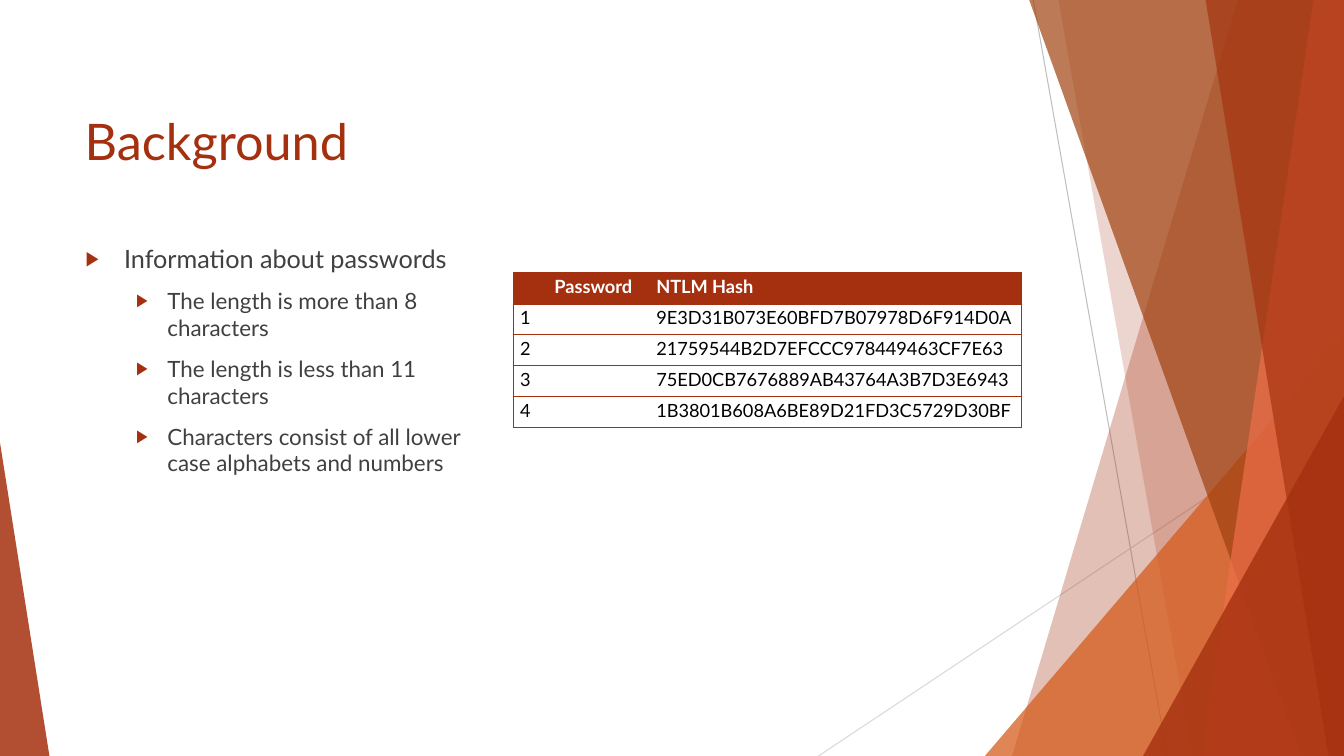
"""Build the password background slide with its facet decoration, list and hash table."""
from dataclasses import dataclass
from typing import Any

from lxml import etree
from pptx import Presentation
from pptx.dml.color import RGBColor
from pptx.enum.shapes import MSO_CONNECTOR, MSO_SHAPE
from pptx.enum.text import MSO_ANCHOR, MSO_AUTO_SIZE, PP_ALIGN
from pptx.oxml.ns import qn
from pptx.util import Inches, Pt

WIDTH, HEIGHT = Inches(13.33), Inches(7.5)
STRAIGHT = MSO_CONNECTOR.STRAIGHT
TRIANGLE = MSO_SHAPE.ISOSCELES_TRIANGLE
LEFT, TOP, MIDDLE = PP_ALIGN.LEFT, MSO_ANCHOR.TOP, MSO_ANCHOR.MIDDLE
NO_AUTOFIT = MSO_AUTO_SIZE.NONE


@dataclass(frozen=True)
class Theme:
    """Colours, font and type sizes of the slide."""
    font: str = "Lato"
    accent: str = "A5300F"
    orange: str = "D55816"
    brown: str = "A04210"
    coral: str = "EE6E4A"
    body: str = "404040"
    black: str = "000000"
    white: str = "FFFFFF"
    title_size: float = 36
    list_sizes: tuple[float, float] = (18, 16)
    table_size: float = 13


THEME = Theme()


@dataclass(frozen=True)
class Box:
    """A rectangle in percent of the slide's width and height."""
    left: float
    top: float
    width: float
    height: float

    def lengths(self) -> dict[str, int]:
        """Return the position and size as slide lengths."""
        return {"left": across(self.left), "top": down(self.top),
                "width": across(self.width), "height": down(self.height)}


@dataclass(frozen=True)
class Ray:
    """A thin line between two points in percent."""
    start: tuple[float, float]
    end: tuple[float, float]
    colour: str


@dataclass(frozen=True)
class Band:
    """A full-height band from a slanted left edge to the slide's right edge."""
    top_left: float
    bottom_left: float
    colour: str
    opacity: int


@dataclass(frozen=True)
class Wedge:
    """A right triangle with its apex at the left (0) or right (1)."""
    box: Box
    apex: float
    colour: str
    opacity: int


@dataclass(frozen=True)
class Bullet:
    """One list entry and its level."""
    text: str
    level: int = 1


RAYS = [Ray((76.88, 0), (86.85, 100), "BFBFBF"),
        Ray((100, 53.73), (60.9, 100), "D9D9D9")]
FACETS = [
    Band(92.1, 75.3, THEME.accent, 30),
    Band(78.75, 88.73, THEME.accent, 20),
    Wedge(Box(73.28, 44.4, 26.72, 55.6), 1, THEME.orange, 72),
    Band(76.58, 96.83, THEME.brown, 70),
    Band(97.73, 89.4, THEME.coral, 70),
    Band(89.7, 98.85, THEME.accent, 65),
    Wedge(Box(85.05, 52.4, 14.95, 47.6), 1, THEME.accent, 80),
    Wedge(Box(0, 58.53, 3.68, 41.47), 0, THEME.accent, 85),
]
TITLE_BOX = Box(5.55, 8.93, 30.6, 19.2)
LIST_BOX = Box(5.63, 31.47, 30.53, 51.87)
TABLE_BOX = Box(38.18, 36.1, 37.8, 20.5)
COLUMN_WIDTHS = (2.55, 7.58, 27.67)
LIST_INDENTS = ((2.85, -2.85), (6.08, -2.33))
BULLETS = [
    Bullet("Information about passwords", 0),
    Bullet("The length is more than 8 characters"),
    Bullet("The length is less than 11 characters"),
    Bullet("Characters consist of all lower case alphabets and numbers"),
]
HASHES = ["9E3D31B073E60BFD7B07978D6F914D0A", "21759544B2D7EFCCC978449463CF7E63",
          "75ED0CB7676889AB43764A3B7D3E6943", "1B3801B608A6BE89D21FD3C5729D30BF"]
TABLE_ROWS = [("", "Password", "NTLM Hash"),
              *((str(number), "", code) for number, code in enumerate(HASHES, 1))]


def across(share: float) -> int:
    """Turn a percentage of the slide's width into a length."""
    return round(WIDTH * share / 100)


def down(share: float) -> int:
    """Turn a percentage of the slide's height into a length."""
    return round(HEIGHT * share / 100)


def assign(target: Any, values: dict[str, Any]) -> None:
    """Set every named attribute on the target."""
    for name, value in values.items():
        setattr(target, name, value)


def add_element(parent: Any, tag: str, **attributes: str) -> Any:
    """Append a drawing element with its attributes."""
    return etree.SubElement(parent, qn(tag), attributes)


def write(paragraph: Any, text: str, size: float, colour: str, bold: bool = False) -> None:
    """Add one formatted run to a paragraph."""
    run = paragraph.add_run()
    run.text = text
    assign(run.font, {"name": THEME.font, "size": Pt(size), "bold": bold})
    run.font.color.rgb = RGBColor.from_string(colour)


def draw_ray(slide: Any, ray: Ray) -> None:
    """Draw a thin line without shadow."""
    (start_x, start_y), (end_x, end_y) = ray.start, ray.end
    connector = slide.shapes.add_connector(
        STRAIGHT, across(start_x), down(start_y), across(end_x), down(end_y))
    connector.line.width = Pt(0.75)
    connector.line.color.rgb = RGBColor.from_string(ray.colour)
    add_element(connector.element.spPr, "a:effectLst")


def draw_facet(slide: Any, facet: Band | Wedge) -> None:
    """Draw a translucent band or wedge."""
    if isinstance(facet, Band):
        builder = slide.shapes.build_freeform(across(facet.top_left), 0)
        builder.add_line_segments(
            [(WIDTH, 0), (WIDTH, HEIGHT), (across(facet.bottom_left), HEIGHT)], close=True)
        shape = builder.convert_to_shape()
    else:
        shape = slide.shapes.add_shape(TRIANGLE, **facet.box.lengths())
        shape.adjustments[0] = facet.apex
    shape.shadow.inherit = False
    shape.line.fill.background()
    shape.fill.solid()
    shape.fill.fore_color.rgb = RGBColor.from_string(facet.colour)
    colour = shape.element.spPr.find(qn("a:solidFill"))[0]
    add_element(colour, "a:alpha", val=str(facet.opacity * 1000))


def fill_title(title: Any) -> None:
    """Place and write the title."""
    assign(title, TITLE_BOX.lengths())
    assign(title.text_frame, {"vertical_anchor": MIDDLE, "auto_size": NO_AUTOFIT})
    paragraph = title.text_frame.paragraphs[0]
    paragraph.alignment = LEFT
    write(paragraph, "Background", THEME.title_size, THEME.accent)


def fill_list(body: Any) -> None:
    """Place the body and write its bulleted list."""
    assign(body, LIST_BOX.lengths())
    frame = body.text_frame
    assign(frame, {"vertical_anchor": TOP, "auto_size": NO_AUTOFIT, "word_wrap": True})
    for index, bullet in enumerate(BULLETS):
        paragraph = frame.add_paragraph() if index else frame.paragraphs[0]
        assign(paragraph, {"level": bullet.level, "space_before": Pt(10), "alignment": LEFT})
        write(paragraph, bullet.text, THEME.list_sizes[bullet.level], THEME.body)
        properties = paragraph._p.get_or_add_pPr()
        for name, share in zip(("marL", "indent"), LIST_INDENTS[bullet.level]):
            properties.set(name, str(across(share)))
        add_element(add_element(properties, "a:buClr"), "a:srgbClr", val=THEME.accent)
        add_element(properties, "a:buSzPct", val="80000")
        add_element(properties, "a:buChar", char="▶")


def draw_borders(cell: Any, is_first: bool, is_last: bool) -> None:
    """Rule a cell above and below, and on the table's outer sides."""
    properties = cell._tc.get_or_add_tcPr()
    for side, visible in {"L": is_first, "R": is_last, "T": True, "B": True}.items():
        line = add_element(properties, f"a:ln{side}", w=str(Pt(1)))
        if visible:
            add_element(add_element(line, "a:solidFill"), "a:srgbClr", val=THEME.accent)
        else:
            add_element(line, "a:noFill")


def draw_table(slide: Any) -> None:
    """Draw the table of password hashes."""
    table = slide.shapes.add_table(
        len(TABLE_ROWS), len(COLUMN_WIDTHS), **TABLE_BOX.lengths()).table
    for column, share in zip(table.columns, COLUMN_WIDTHS):
        column.width = across(share)
    margins = {"margin_left": Inches(0.07), "margin_right": Inches(0.07),
               "margin_top": Inches(0.03), "margin_bottom": Inches(0.03)}
    for row, texts in enumerate(TABLE_ROWS):
        is_header = row == 0
        for column, text in enumerate(texts):
            cell = table.cell(row, column)
            assign(cell, margins)
            draw_borders(cell, column == 0, column == len(texts) - 1)
            cell.fill.solid()
            cell.fill.fore_color.rgb = RGBColor.from_string(
                THEME.accent if is_header else THEME.white)
            paragraph = cell.text_frame.paragraphs[0]
            if text:
                write(paragraph, text, THEME.table_size,
                      THEME.white if is_header else THEME.black, is_header)
            else:
                add_element(paragraph._p, "a:endParaRPr", sz=str(THEME.table_size * 100))


def main() -> None:
    """Build and save the presentation."""
    presentation = Presentation()
    assign(presentation, {"slide_width": WIDTH, "slide_height": HEIGHT})
    slide = presentation.slides.add_slide(presentation.slide_layouts[1])
    for ray in RAYS:
        draw_ray(slide, ray)
    for facet in FACETS:
        draw_facet(slide, facet)
    fill_title(slide.shapes.title)
    fill_list(slide.placeholders[1])
    draw_table(slide)
    presentation.save("out.pptx")


if __name__ == "__main__":
    main()
